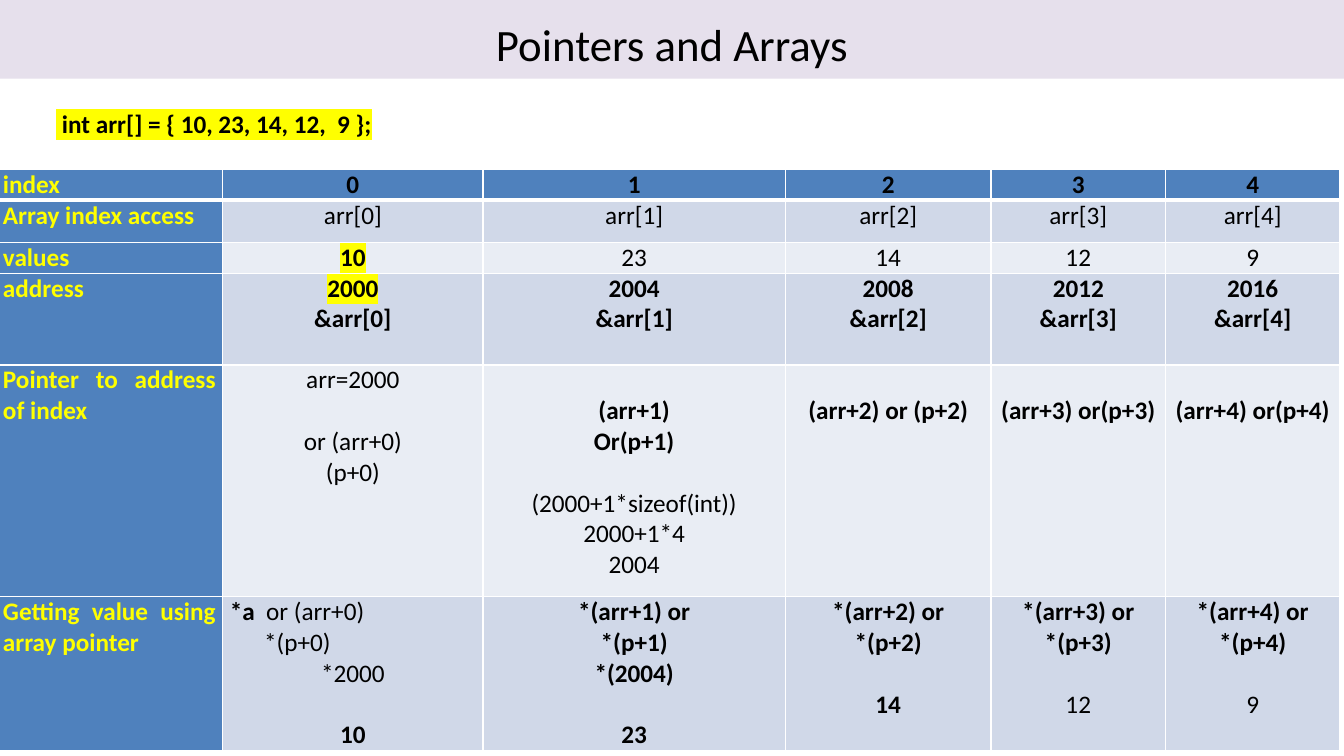
from dataclasses import dataclass

import lxml.etree
import pptx
import pptx.dml.color
import pptx.enum.dml
import pptx.enum.shapes
import pptx.enum.text
import pptx.oxml.ns
import pptx.util
from pptx.util import Inches

ALIGN = pptx.enum.text.PP_ALIGN
ANCHOR = pptx.enum.text.MSO_ANCHOR


@dataclass(frozen=True)
class Theme:
    font: str = "Calibri"
    title_size: int = 32
    body_size: int = 18
    ink: str = "000000"
    label: str = "FFFF00"
    highlight: str = "FFFF00"
    title_fill: str = "E6E0EC"
    header_fill: str = "4F81BD"
    band_fills: tuple[str, str] = ("D0D8E8", "E9EDF4")
    border: str = "FFFFFF"


@dataclass(frozen=True)
class Line:
    text: str
    bold: bool = False
    align: ALIGN = ALIGN.CENTER
    gap: bool = False
    marked: bool = False
    indent: float = 0
    lead: str = ""


@dataclass(frozen=True)
class Row:
    label: str
    height: float
    cells: list[list[Line]]
    top_gap: tuple[int, ...] = ()


THEME = Theme()
LINE_HEIGHT = pptx.util.Pt(22)
VALUES = [10, 23, 14, 12, 9]
COLUMN_WIDTHS = [2.25, 2.58, 3, 2.04, 1.73, 1.73]


def rgb(value: str) -> pptx.dml.color.RGBColor:
    return pptx.dml.color.RGBColor.from_string(value)


def style(p, size: int, color: str, bold: bool = False) -> None:
    p.font.name = THEME.font
    p.font.size = pptx.util.Pt(size)
    p.font.bold = bold
    p.font.color.rgb = rgb(color)


def indent(p, inches: float) -> None:
    pPr = p._p.get_or_add_pPr()
    pPr.set("marL", str(Inches(inches)))
    pPr.set("indent", "0")


def add_color(parent, tag: str) -> lxml.etree._Element:
    return lxml.etree.SubElement(parent, pptx.oxml.ns.qn(tag))


def highlight(r) -> None:
    mark = add_color(r._r.get_or_add_rPr(), "a:highlight")
    add_color(mark, "a:srgbClr").set("val", THEME.highlight)


def write_line(p, line: Line, color: str) -> None:
    p.alignment = line.align
    if line.gap:
        p.space_before = LINE_HEIGHT
    if line.indent:
        indent(p, line.indent)
    style(p, THEME.body_size, color, line.bold)
    if line.lead:
        lead = p.add_run()
        lead.text = line.lead
        lead.font.bold = True
    r = p.add_run()
    r.text = line.text
    if line.marked:
        highlight(r)


def set_borders(cell, widths: dict[str, int]) -> None:
    tcPr = cell._tc.get_or_add_tcPr()
    for i, (side, width) in enumerate(widths.items()):
        ln = add_color(tcPr, f"a:ln{side}")
        ln.set("w", str(pptx.util.Pt(width)))
        add_color(add_color(ln, "a:solidFill"), "a:srgbClr").set("val", THEME.border)
        tcPr.insert(i, ln)


def fill_cell(cell, lines: list[Line], fill: str, color: str, row: int, top_gap: bool) -> None:
    cell.margin_left = cell.margin_right = Inches(0.07)
    cell.margin_top = LINE_HEIGHT if top_gap else 0
    cell.margin_bottom = 0
    cell.vertical_anchor = ANCHOR.TOP
    cell.fill.solid()
    cell.fill.fore_color.rgb = rgb(fill)
    set_borders(cell, {"L": 1, "R": 1, "T": 3 if row == 1 else 1, "B": 3 if row == 0 else 1})
    tf = cell.text_frame
    for i, line in enumerate(lines):
        write_line(tf.add_paragraph() if i else tf.paragraphs[0], line, color)


def pointer_cell(i: int) -> list[Line]:
    if i == 0:
        return [Line("arr=2000"), Line("or (arr+0)", gap=True), Line("(p+0)")]
    if i == 1:
        return [
            Line("(arr+1)", True),
            Line("Or(p+1)", True),
            Line("(2000+1*sizeof(int))", gap=True),
            Line("2000+1*4"),
            Line("2004"),
        ]
    joint = "or " if i == 2 else "or"
    return [Line(f"(arr+{i}) {joint}(p+{i})", True)]


def value_cell(i: int) -> list[Line]:
    result = Line(str(VALUES[i]), i < 3, gap=True)
    if i == 0:
        return [
            Line("or (arr+0)", align=ALIGN.LEFT, lead="*a  "),
            Line("*(p+0)", align=ALIGN.LEFT, indent=0.34),
            Line("*2000"),
            result,
        ]
    if i > 2:
        return [Line(f"*(arr+{i}) or *(p+{i})", True), result]
    address = [Line("*(2004)", True)] if i == 1 else []
    return [Line(f"*(arr+{i}) or", True), Line(f"*(p+{i})", True), *address, result]


def build_rows() -> list[Row]:
    n = range(len(VALUES))
    return [
        Row("index", 0.3, [[Line(str(i), True)] for i in n]),
        Row("Array index access", 0.42, [[Line(f"arr[{i}]")] for i in n]),
        Row("values", 0.3, [[Line(str(VALUES[i]), i == 0, marked=i == 0)] for i in n]),
        Row("address", 0.91, [
            [Line(str(2000 + 4 * i), True, marked=i == 0), Line(f"&arr[{i}]", True)] for i in n
        ]),
        Row("Pointer to address of index", 2.3, [pointer_cell(i) for i in n], (1, 2, 3, 4)),
        Row("Getting value using array pointer", 1.46, [value_cell(i) for i in n]),
    ]


def add_title(s) -> None:
    title = s.shapes.title
    title.left, title.top, title.width, title.height = 0, 0, Inches(13.33), Inches(0.78)
    title.fill.solid()
    title.fill.fore_color.rgb = rgb(THEME.title_fill)
    tf = title.text_frame
    tf.text = "Pointers and Arrays"
    tf.vertical_anchor = ANCHOR.MIDDLE
    p = tf.paragraphs[0]
    p.alignment = ALIGN.CENTER
    p.line_spacing = 1.15
    style(p, THEME.title_size, THEME.ink)


def add_array_table(s) -> None:
    rows = build_rows()
    frame = s.shapes.add_table(
        len(rows), len(COLUMN_WIDTHS), Inches(-0.04), Inches(1.68),
        Inches(sum(COLUMN_WIDTHS)), Inches(sum(row.height for row in rows)),
    )
    table = frame.table
    tblPr = table._tbl.tblPr
    tblPr.remove(tblPr.find(pptx.oxml.ns.qn("a:tableStyleId")))
    table.first_row = table.horz_banding = False
    for column, width in zip(table.columns, COLUMN_WIDTHS):
        column.width = Inches(width)
    for y, row in enumerate(rows):
        table.rows[y].height = Inches(row.height)
        label = [Line(row.label, True, ALIGN.JUSTIFY)]
        fill_cell(table.cell(y, 0), label, THEME.header_fill, THEME.label, y, False)
        fill = THEME.band_fills[(y - 1) % 2] if y else THEME.header_fill
        for i, lines in enumerate(row.cells):
            fill_cell(table.cell(y, i + 1), lines, fill, THEME.ink, y, i in row.top_gap)


def add_declaration(s) -> None:
    tf = s.shapes.add_textbox(Inches(0.34), Inches(1), Inches(3.5), Inches(0.41)).text_frame
    tf.word_wrap = False
    tf.auto_size = pptx.enum.text.MSO_AUTO_SIZE.SHAPE_TO_FIT_TEXT
    p = tf.paragraphs[0]
    p.line_spacing = 1.07
    text = " int arr[] = { 10, 23, 14, 12,  9 };"
    write_line(p, Line(text, True, ALIGN.JUSTIFY, marked=True, indent=0.12), THEME.ink)


def main() -> None:
    prs = pptx.Presentation()
    prs.slide_width, prs.slide_height = Inches(13.33), Inches(7.5)
    s = prs.slides.add_slide(prs.slide_layouts[5])
    add_title(s)
    add_array_table(s)
    add_declaration(s)
    prs.save("out.pptx")


if __name__ == "__main__":
    main()
